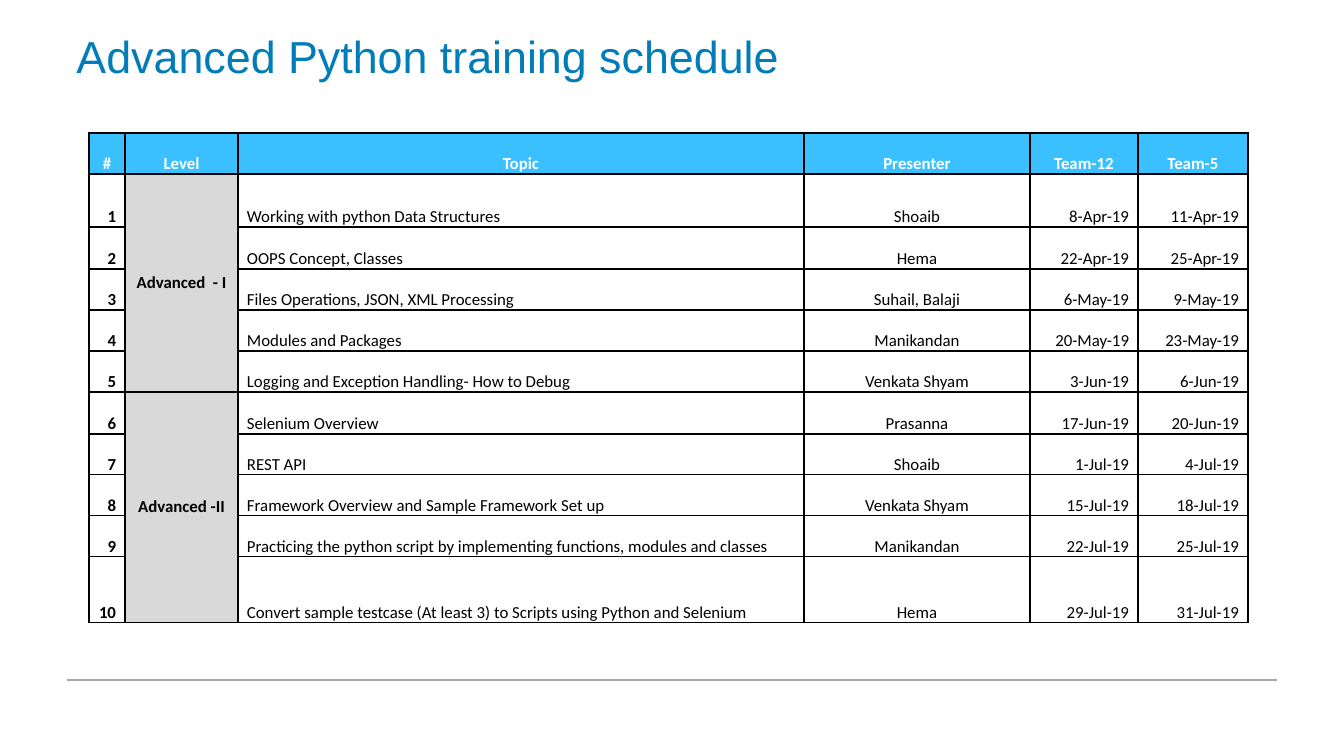
from lxml.etree import SubElement
from pptx import Presentation
from pptx.dml.color import RGBColor
from pptx.enum.shapes import MSO_CONNECTOR
from pptx.enum.text import MSO_ANCHOR, PP_ALIGN
from pptx.oxml.ns import qn
from pptx.util import Pt

PX = 914400 / 134.4
BLACK, WHITE = "000000", "FFFFFF"
BLUE, SKY, GREY, RULE_GREY = "007DB8", "3BC0FF", "D9D9D9", "AAAAAA"

COLUMN_WIDTHS = [36, 113, 566, 226, 108, 110]
ROW_HEIGHTS = [41, 53, 42, 41, 41, 41, 42, 41, 41, 41, 66]
ALIGNMENTS = [PP_ALIGN.RIGHT, PP_ALIGN.CENTER, PP_ALIGN.LEFT,
              PP_ALIGN.CENTER, PP_ALIGN.RIGHT, PP_ALIGN.RIGHT]
HEADINGS = ["#", "Level", "Topic", "Presenter", "Team-12", "Team-5"]
LEVELS = ["Advanced  - I", "Advanced -II"]
SESSIONS_PER_LEVEL = 5
SESSIONS = [
    ("Working with python Data Structures", "Shoaib", "8-Apr-19", "11-Apr-19"),
    ("OOPS Concept, Classes", "Hema", "22-Apr-19", "25-Apr-19"),
    ("Files Operations, JSON, XML Processing", "Suhail, Balaji", "6-May-19", "9-May-19"),
    ("Modules and Packages", "Manikandan", "20-May-19", "23-May-19"),
    ("Logging and Exception Handling- How to Debug", "Venkata Shyam", "3-Jun-19", "6-Jun-19"),
    ("Selenium Overview", "Prasanna", "17-Jun-19", "20-Jun-19"),
    ("REST API", "Shoaib", "1-Jul-19", "4-Jul-19"),
    ("Framework Overview and Sample Framework Set up", "Venkata Shyam", "15-Jul-19", "18-Jul-19"),
    ("Practicing the python script by implementing functions, modules and classes",
     "Manikandan", "22-Jul-19", "25-Jul-19"),
    ("Convert sample testcase (At least 3) to Scripts using Python and Selenium",
     "Hema", "29-Jul-19", "31-Jul-19"),
]


def px(length):
    return round(length * PX)


def color(hex_string):
    return RGBColor.from_string(hex_string)


def apply(target, values):
    for name, value in values.items():
        setattr(target, name, value)


def format_text(paragraph, hex_color, align, **font):
    paragraph.alignment = align
    apply(paragraph.font, font)
    paragraph.font.color.rgb = color(hex_color)


def add_title(slide, left, top, width, height):
    title = slide.shapes.title
    apply(title, dict(left=px(left), top=px(top), width=px(width), height=px(height)))
    title.text_frame.text = "Advanced Python training schedule"
    apply(title.text_frame, dict(vertical_anchor=MSO_ANCHOR.TOP, word_wrap=True))
    paragraph = title.text_frame.paragraphs[0]
    paragraph.line_spacing = 0.9
    format_text(paragraph, BLUE, PP_ALIGN.LEFT, name="Arial", size=Pt(24))


def add_borders(cell):
    properties = cell._tc.get_or_add_tcPr()
    for side in ("lnL", "lnR", "lnT", "lnB"):
        line = SubElement(properties, qn(f"a:{side}"), w=str(Pt(1)))
        fill = SubElement(line, qn("a:solidFill"))
        SubElement(fill, qn("a:srgbClr"), val=BLACK)


def format_cell(cell, row, column):
    add_borders(cell)
    is_header, is_level = row == 0, column == 1
    if is_header or is_level:
        cell.fill.solid()
        cell.fill.fore_color.rgb = color(SKY if is_header else GREY)
    else:
        cell.fill.background()
    middle = is_level and not is_header
    apply(cell, dict(
        margin_left=px(9), margin_right=px(9), margin_top=0, margin_bottom=0,
        vertical_anchor=MSO_ANCHOR.MIDDLE if middle else MSO_ANCHOR.BOTTOM))
    format_text(cell.text_frame.paragraphs[0], WHITE if is_header else BLACK,
                PP_ALIGN.CENTER if is_header else ALIGNMENTS[column],
                name="Calibri", size=Pt(9), bold=is_header or column < 2)


def add_schedule(slide, left, top):
    frame = slide.shapes.add_table(
        len(ROW_HEIGHTS), len(COLUMN_WIDTHS), px(left), px(top),
        px(sum(COLUMN_WIDTHS)), px(sum(ROW_HEIGHTS)))
    schedule = frame.table
    apply(schedule, dict(first_row=False, horz_banding=False))
    for column, width in zip(schedule.columns, COLUMN_WIDTHS):
        column.width = px(width)
    for row, height in zip(schedule.rows, ROW_HEIGHTS):
        row.height = px(height)

    # Headings and sessions; the level column is filled below
    rows = [HEADINGS] + [(str(number), "", *session)
                         for number, session in enumerate(SESSIONS, 1)]
    for r, texts in enumerate(rows):
        for c, text in enumerate(texts):
            cell = schedule.cell(r, c)
            cell.text = text
            format_cell(cell, r, c)

    # One merged cell for each level
    for index, level in enumerate(LEVELS):
        first = 1 + index * SESSIONS_PER_LEVEL
        level_cell = schedule.cell(first, 1)
        level_cell.merge(schedule.cell(first + SESSIONS_PER_LEVEL - 1, 1))
        level_cell.text = level
        format_text(level_cell.text_frame.paragraphs[0], BLACK, PP_ALIGN.CENTER,
                    name="Calibri", size=Pt(9), bold=True)


def add_footer_rule(slide, left, top, width):
    rule = slide.shapes.add_connector(
        MSO_CONNECTOR.STRAIGHT, px(left), px(top), px(left + width), px(top))
    rule.line.color.rgb = color(RULE_GREY)
    rule.line.width = Pt(0.75)
    SubElement(rule._element.spPr, qn("a:effectLst"))


def main():
    presentation = Presentation()
    apply(presentation, dict(slide_width=px(1344), slide_height=px(756)))
    slide = presentation.slides.add_slide(presentation.slide_layouts[5])
    add_footer_rule(slide, 67, 680, 1210)
    add_title(slide, 63, 28, 1211, 94)
    add_schedule(slide, 89, 133)
    presentation.save("out.pptx")


if __name__ == "__main__":
    main()
